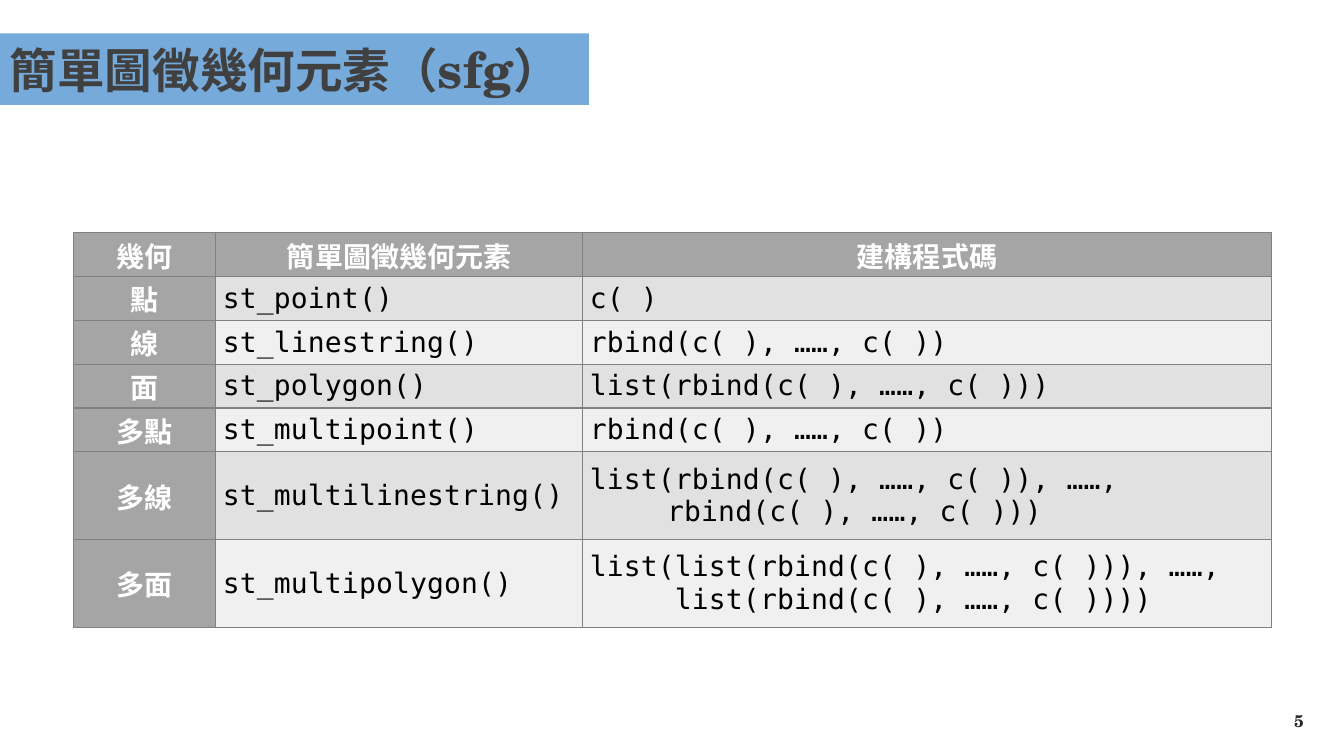
from lxml.etree import SubElement
from pptx import Presentation
from pptx.dml.color import RGBColor
from pptx.enum.shapes import MSO_SHAPE as Shape
from pptx.enum.text import MSO_ANCHOR as Anchor, PP_ALIGN as Align
from pptx.oxml.ns import qn
from pptx.util import Inches, Pt

SERIF, MONO, CJK = "TeX Gyre Schola", "DejaVu Sans Mono", "Noto Sans CJK SC"
HEADER_FILL, BAND_FILLS = "A5A5A5", ("E1E1E1", "F0F0F0")
COLUMN_WIDTHS = (1.41, 3.64, 6.83)
LINE_HEIGHT = 0.435
HEADINGS = ("幾何", "簡單圖徵幾何元素", "建構程式碼")
GEOMETRIES = (
    ("點", "st_point()", "c( )"),
    ("線", "st_linestring()", "rbind(c( ), ……, c( ))"),
    ("面", "st_polygon()", "list(rbind(c( ), ……, c( )))"),
    ("多點", "st_multipoint()", "rbind(c( ), ……, c( ))"),
    ("多線", "st_multilinestring()",
     "list(rbind(c( ), ……, c( )), ……,\n  rbind(c( ), ……, c( )))"),
    ("多面", "st_multipolygon()",
     "list(list(rbind(c( ), ……, c( ))), ……,\n     list(rbind(c( ), ……, c( ))))"),
)
# First-line indents in inches of the continuation lines, by geometry
CONTINUATION_INDENTS = {"多線": 0.43}


def color(value):
    return RGBColor.from_string(value)


def add_text(paragraph, text, *, size, font, fill, bold=False, spacing=0):
    """Append a run; spacing is in hundredths of a point."""
    run = paragraph.add_run()
    run.text = text
    run.font.size = Pt(size)
    run.font.name = font
    run.font.bold = bold
    run.font.color.rgb = color(fill)
    properties = run.font._element
    properties.set("spc", str(spacing))
    SubElement(properties, qn("a:ea")).set("typeface", CJK)


def add_title(slide):
    banner = slide.shapes.add_shape(
        Shape.RECTANGLE, 0, Inches(0.33), Inches(5.84), Inches(0.71))
    banner.shadow.inherit = False
    banner.fill.solid()
    banner.fill.fore_color.rgb = color("75AADB")
    banner.line.fill.background()
    frame = banner.text_frame
    frame.word_wrap = True
    frame.vertical_anchor = Anchor.TOP
    paragraph = frame.paragraphs[0]
    paragraph.alignment = Align.LEFT
    for text, size, font in (("簡單圖徵幾何元素（", 34, CJK),
                             ("sfg", 36, SERIF), ("）", 34, CJK)):
        add_text(paragraph, text, size=size, font=font, fill="404040", bold=True)


def add_borders(cell):
    properties = cell._tc.get_or_add_tcPr()
    for side in ("lnL", "lnR", "lnT", "lnB"):
        line = SubElement(properties, qn(f"a:{side}"), w=str(Pt(1)))
        fill = SubElement(line, qn("a:solidFill"))
        SubElement(fill, qn("a:srgbClr"), val="808080")


def fill_cell(cell, text, *, fill, heading, continuation_indent=0):
    add_borders(cell)
    cell.fill.solid()
    cell.fill.fore_color.rgb = color(fill)
    cell.vertical_anchor = Anchor.MIDDLE
    cell.margin_left = cell.margin_right = Inches(0.07)
    cell.margin_top = cell.margin_bottom = 0
    frame = cell.text_frame
    for index, line in enumerate(text.split("\n")):
        paragraph = frame.add_paragraph() if index else frame.paragraphs[0]
        paragraph.alignment = Align.CENTER if heading else Align.JUSTIFY
        if index and continuation_indent:
            indent = Inches(continuation_indent)
            paragraph._p.get_or_add_pPr().set("indent", str(indent))
        add_text(paragraph, line, size=20, font=MONO, bold=heading,
                 fill="FFFFFF" if heading else "000000",
                 spacing=0 if heading else 10)


def add_geometry_table(slide):
    rows = (HEADINGS,) + GEOMETRIES
    table = slide.shapes.add_table(
        len(rows), len(COLUMN_WIDTHS), Inches(0.73), Inches(2.31),
        Inches(sum(COLUMN_WIDTHS)), Inches(3.91)).table
    for column, width in zip(table.columns, COLUMN_WIDTHS):
        column.width = Inches(width)
    for row_index, texts in enumerate(rows):
        line_count = texts[-1].count("\n") + 1
        table.rows[row_index].height = Inches(LINE_HEIGHT * line_count)
        for column_index, text in enumerate(texts):
            heading = row_index == 0 or column_index == 0
            band = BAND_FILLS[(row_index - 1) % 2]
            fill_cell(table.cell(row_index, column_index), text,
                      fill=HEADER_FILL if heading else band, heading=heading,
                      continuation_indent=CONTINUATION_INDENTS.get(texts[0], 0))


def add_page_number(slide, number):
    box = slide.shapes.add_textbox(
        Inches(10.03), Inches(6.95), Inches(3), Inches(0.4))
    frame = box.text_frame
    frame.word_wrap = True
    frame.vertical_anchor = Anchor.MIDDLE
    paragraph = frame.paragraphs[0]
    paragraph.alignment = Align.RIGHT
    add_text(paragraph, str(number), size=12, font=SERIF, fill="262626", bold=True)


def main():
    presentation = Presentation()
    presentation.slide_width = Inches(13.33)
    presentation.slide_height = Inches(7.5)
    slide = presentation.slides.add_slide(presentation.slide_layouts[6])
    add_page_number(slide, 5)
    add_title(slide)
    add_geometry_table(slide)
    presentation.save("out.pptx")


if __name__ == "__main__":
    main()
